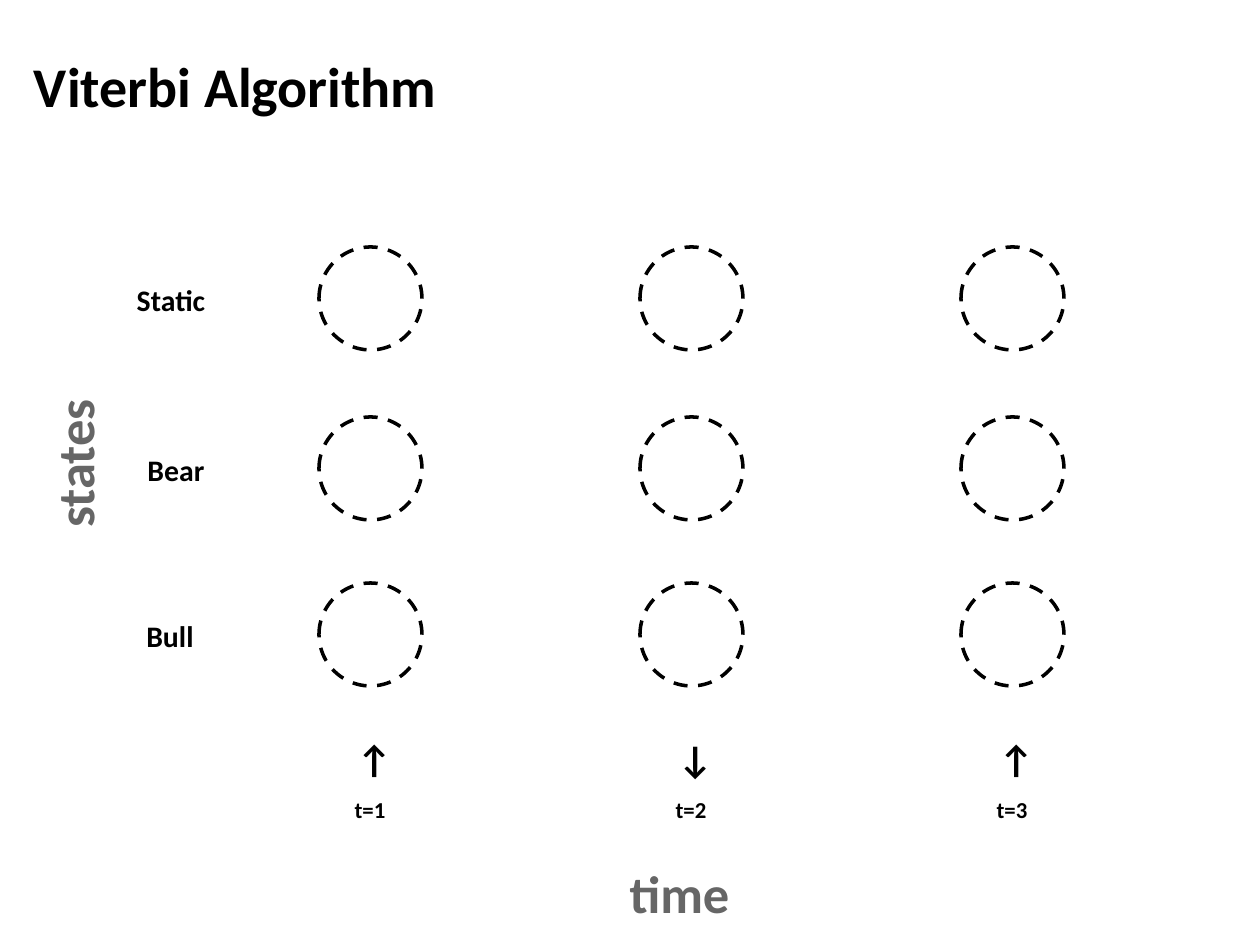
"""Builds the Viterbi Algorithm slide: a trellis of three states over three time steps."""
from lxml import etree
from pptx import Presentation
from pptx import util as u
from pptx.dml import color
from pptx.enum import dml, shapes, text
from pptx.oxml import ns

SCALE = 914400 / 126
BLACK, GREY, WHITE = "000000", "666666", "FFFFFF"


def px(*lengths):
    return [u.Emu(round(length * SCALE)) for length in lengths]


def add_text(words, place, size, ink=BLACK, align=text.PP_ALIGN.CENTER,
             inset=(0, 0), wrap=False, turn=0):
    box = page.shapes.add_textbox(*px(*place))
    box.rotation = turn
    frame = box.text_frame
    frame.word_wrap = wrap
    frame.auto_size = text.MSO_AUTO_SIZE.NONE if wrap else text.MSO_AUTO_SIZE.SHAPE_TO_FIT_TEXT
    frame.vertical_anchor = text.MSO_ANCHOR.MIDDLE
    frame.margin_left, frame.margin_top = px(*inset)
    frame.margin_right, frame.margin_bottom = px(*inset)
    para = frame.paragraphs[0]
    para.alignment = align
    span = para.add_run()
    span.text = words
    span.font.name = "Calibri"
    span.font.size = u.Pt(size)
    span.font.bold = True
    span.font.color.rgb = color.RGBColor.from_string(ink)


deck = Presentation()
deck.slide_width, deck.slide_height = px(1260, 945)
page = deck.slides.add_slide(deck.slide_layouts[6])

add_text("Viterbi Algorithm", (21, 15, 1197, 141), 32,
         align=text.PP_ALIGN.LEFT, inset=(13, 6), wrap=True)
add_text("time", (617, 861, 125, 63), 30, GREY)
add_text("states", (-8, 432, 163, 63), 30, GREY, turn=270)

states = [("Static", 247, 127, 88), ("Bear", 417, 139, 74), ("Bull", 583, 140, 60)]
for state, top, left, width in states:
    add_text(state, (left, top + 34, width, 37), 17)

for step, arrow in enumerate("↑↓↑"):
    column = 319 + 321 * step
    add_text(arrow, (column + 38, 735, 28, 47), 22)
    add_text(f"t={step + 1}", (column + 31, 795, 40, 28), 13)
    for state, top, left, width in states:
        node = page.shapes.add_shape(shapes.MSO_SHAPE.OVAL, *px(column, top, 103, 103))
        node.shadow.inherit = False
        node.line.color.rgb = color.RGBColor.from_string(BLACK)
        node.line.width = u.Pt(2)
        node.line.dash_style = dml.MSO_LINE.DASH
        if step < 2:
            node.fill.background()
        else:
            node.fill.solid()
            node.fill.fore_color.rgb = color.RGBColor.from_string(WHITE)
            paint = node.fill._xPr.find(ns.qn("a:solidFill"))[0]
            etree.SubElement(paint, ns.qn("a:alpha"), val="19000")

deck.save("out.pptx")
